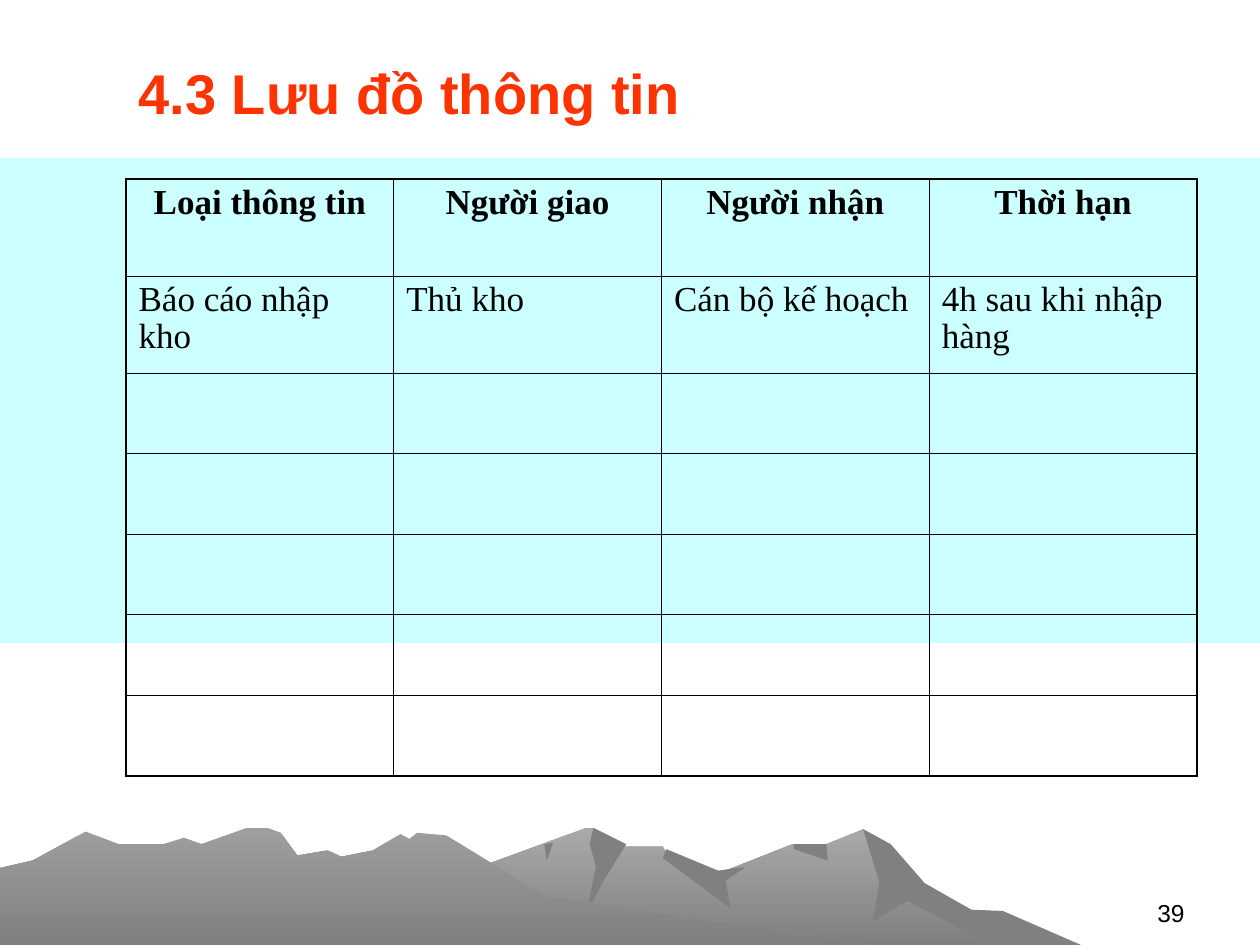
from lxml.etree import SubElement
from pptx import Presentation
from pptx.dml.color import RGBColor
from pptx.enum.text import MSO_ANCHOR as ANCHOR, PP_ALIGN as ALIGN
from pptx.oxml.ns import qn
from pptx.util import Pt

PX = 9144
WIDTH, HEIGHT = 1000, 750
SANS, SERIF = "Arial", "Times New Roman"
BLACK, GRAY = "000000", "808080"

TITLE = "4.3 Lưu đồ thông tin"
PAGE = "39"
ROWS = [
    ["Loại thông tin", "Người giao", "Người nhận", "Thời hạn"],
    ["Báo cáo nhập kho", "Thủ kho", "Cán bộ kế hoạch", "4h sau khi nhập hàng"],
] + [[""] * 4] * 5
ROW_HEIGHTS = [77] * 2 + [64] * 5
TABLE_BOX = (100, 142, 850, sum(ROW_HEIGHTS))
OUTER, INNER = 1.08, 0.45

BAND = [(0, 125), (WIDTH, 125), (WIDTH, 510), (0, 510)]
PEAK, SUMMIT = (685, 658), (471, 657)
FAR_RIDGE = [
    (821, HEIGHT), (764, 722), (723, 697), PEAK, (656, 670), (629, 670),
    (566, 695), (536, 688), (526, 672), (486, 672), SUMMIT, (465, 657),
    (430, 670), (327, 708), (258, HEIGHT)]
NEAR_RIDGE = [
    (690, HEIGHT), (432, 711), (354, 663), (331, 661), (325, 666), (318, 662),
    (296, 675), (271, 680), (260, 675), (236, 679), (223, 661), (212, 657),
    (196, 657), (160, 670), (146, 665), (130, 670), (94, 670), (68, 660),
    (26, 683), (0, 689), (0, HEIGHT)]
SHADOWS = [
    [PEAK, (707, 670), (734, 701), (771, 722), (796, 723), (858, HEIGHT),
     (788, HEIGHT), (720, 715), (693, 731), (698, 700)],
    [SUMMIT, (497, 670), (479, 699), (465, 726), (473, 688), (468, 670)],
    [(529, 674), (570, 691), (592, 688), (576, 699), (580, 721), (526, 681)],
    [(630, 670), (656, 670), (657, 683), (630, 674)],
    [(432, 670), (439, 669), (434, 683)],
]
MOUNTAINS = [
    (FAR_RIDGE, ("A9A9A9", GRAY)),
    *[(shadow, (GRAY,)) for shadow in SHADOWS],
    (NEAR_RIDGE, ("9E9E9E", GRAY)),
]


def rgb(value):
    return RGBColor.from_string(value)


def emu(*values):
    return [v * PX for v in values]


def put_text(tf, text, size, font=SANS, color=BLACK, bold=False,
             align=ALIGN.LEFT, anchor=ANCHOR.TOP, spacing=None):
    tf.word_wrap = True
    tf.vertical_anchor = anchor
    p = tf.paragraphs[0]
    p.alignment = align
    p.line_spacing = spacing
    r = p.add_run()
    r.text = text
    r.font.size, r.font.name, r.font.bold = Pt(size), font, bold
    r.font.color.rgb = rgb(color)


def add_outline(slide, points, colors):
    builder = slide.shapes.build_freeform(*points[0], scale=PX)
    builder.add_line_segments(points[1:], close=True)
    sp = builder.convert_to_shape()
    sp.shadow.inherit = False
    sp.line.fill.background()
    if len(colors) == 1:
        sp.fill.solid()
        sp.fill.fore_color.rgb = rgb(colors[0])
    else:
        sp.fill.gradient()
        sp.fill.gradient_angle = 270
        for stop, color in zip(sp.fill.gradient_stops, colors):
            stop.color.rgb = rgb(color)


def set_borders(cell, widths):
    tc_pr = cell._tc.get_or_add_tcPr()
    for side, width in widths.items():
        ln = SubElement(tc_pr, qn(f"a:ln{side}"), w=str(int(Pt(width))))
        SubElement(SubElement(ln, qn("a:solidFill")), qn("a:srgbClr"), val=BLACK)


def add_grid(slide):
    last_row, last_col = len(ROWS) - 1, len(ROWS[0]) - 1
    frame = slide.shapes.add_table(last_row + 1, last_col + 1, *emu(*TABLE_BOX))
    table = frame.table
    table.first_row = table.horz_banding = False
    for row, height in zip(table.rows, ROW_HEIGHTS):
        row.height = height * PX
    for i, texts in enumerate(ROWS):
        for j, text in enumerate(texts):
            cell = table.cell(i, j)
            set_borders(cell, {
                "L": OUTER if j == 0 else INNER,
                "R": OUTER if j == last_col else INNER,
                "T": OUTER if i == 0 else INNER,
                "B": OUTER if i == last_row else INNER,
            })
            cell.fill.background()
            if text:
                put_text(cell.text_frame, text, 20, SERIF, bold=i == 0, spacing=0.95,
                         align=ALIGN.LEFT if i else ALIGN.CENTER)


def main():
    prs = Presentation()
    prs.slide_width, prs.slide_height = emu(WIDTH, HEIGHT)
    slide = prs.slides.add_slide(prs.slide_layouts[5])

    add_outline(slide, BAND, ("CCFFFF",))
    for points, colors in MOUNTAINS:
        add_outline(slide, points, colors)

    title = slide.shapes.title
    title.left, title.top, title.width, title.height = emu(100, 30, 850, 87)
    put_text(title.text_frame, TITLE, 32, color="FF3300", bold=True, anchor=ANCHOR.MIDDLE)

    add_grid(slide)
    page = slide.shapes.add_textbox(*emu(717, 708, 233, 27))
    put_text(page.text_frame, PAGE, 14, align=ALIGN.RIGHT)
    prs.save("out.pptx")


if __name__ == "__main__":
    main()
